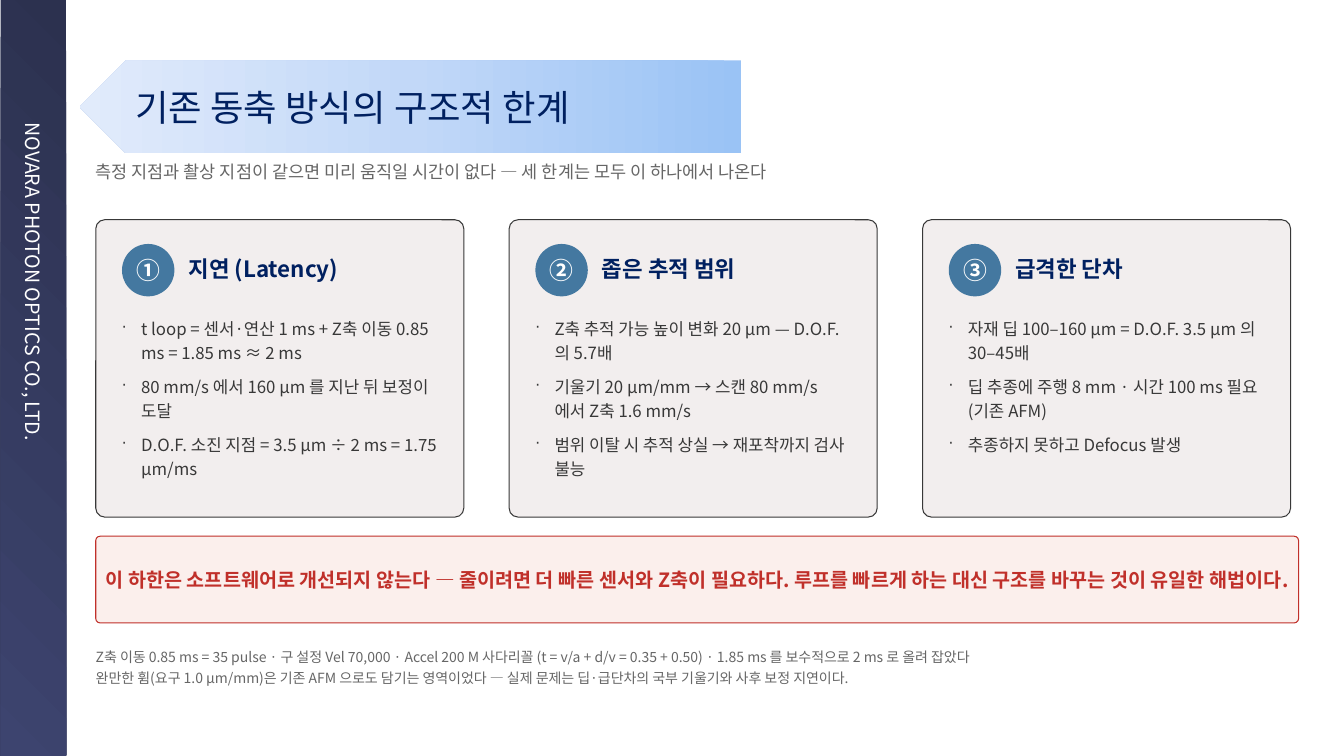
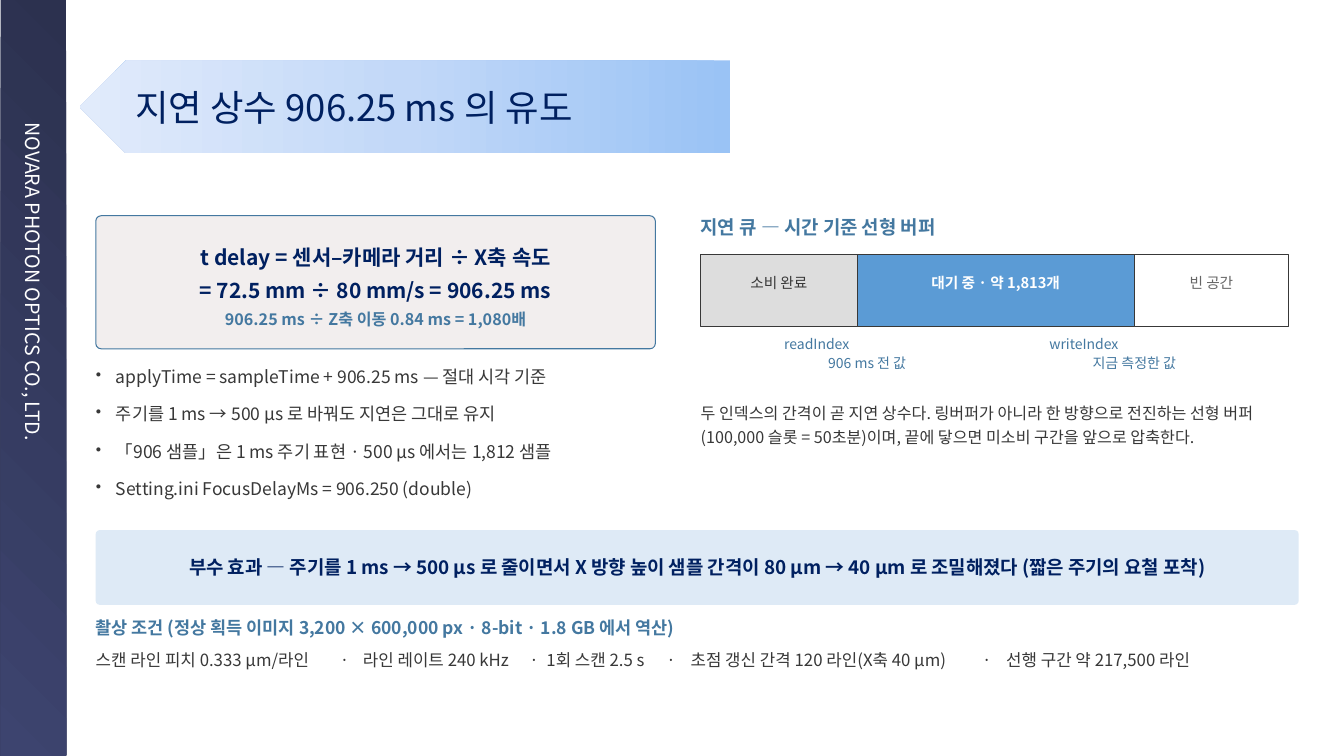
"""Build two slides on the limits of coaxial focusing and the delay constant."""
from dataclasses import dataclass

from lxml import etree
from pptx import Presentation
from pptx.dml.color import RGBColor
from pptx.enum.shapes import MSO_SHAPE as SHAPE
from pptx.enum.text import MSO_ANCHOR as ANCHOR, MSO_AUTO_SIZE as AUTO_SIZE, PP_ALIGN as ALIGN
from pptx.oxml import parse_xml
from pptx.oxml.ns import nsdecls, qn
from pptx.util import Inches, Pt

NAVY = RGBColor(0x00, 0x20, 0x60)
STEEL = RGBColor(0x44, 0x78, 0xA0)
SKY = RGBColor(0x5B, 0x9B, 0xD5)
PALE_BLUE = RGBColor(0xDE, 0xEA, 0xF6)
INK = RGBColor(0x38, 0x38, 0x38)
GRAY = RGBColor(0x66, 0x66, 0x66)
SILVER = RGBColor(0xDD, 0xDD, 0xDD)
PANEL = RGBColor(0xF2, 0xEE, 0xEE)
RED = RGBColor(0xC0, 0x30, 0x2A)
BLUSH = RGBColor(0xFB, 0xEF, 0xEC)
WHITE = RGBColor(0xFF, 0xFF, 0xFF)
BAND_STOPS = [(0, RGBColor(0x2C, 0x31, 0x4F)), (100, RGBColor(0x3D, 0x44, 0x6F))]
ARROW_STOPS = [
    (0, RGBColor(0x9A, 0xC3, 0xF5)),
    (50, RGBColor(0xC2, 0xD8, 0xF8)),
    (100, RGBColor(0xE1, 0xEB, 0xFB)),
]
FONT = "Noto Sans CJK KR"
COMPANY = "NOVARA PHOTON OPTICS CO., LTD."
LEFT = 0.95
FULL_WIDTH = 11.93
TITLE_TOP, TITLE_HEIGHT = 0.6, 0.92
SHAPE_INSETS = (0.06, 0.02, 0.06, 0.02)


@dataclass
class Style:
    """Look of a paragraph."""
    size: float
    color: RGBColor
    bold: bool = False
    align: ALIGN = ALIGN.LEFT
    spacing: float = 1.0
    after: float = 0
    bullet: str = ""
    indent: float = 0
    tabs: tuple = ()


def add_bullet(paragraph, style):
    """Hang the paragraph behind its bullet character."""
    props = paragraph._p.get_or_add_pPr()
    props.set("marL", str(Inches(style.indent)))
    props.set("indent", str(-Inches(style.indent)))
    etree.SubElement(props, qn("a:buSzPct"), val="90000")
    etree.SubElement(props, qn("a:buChar"), char=style.bullet)


def add_tabs(paragraph, stops):
    """Set left tab stops, in inches from the box edge."""
    tab_list = etree.SubElement(paragraph._p.get_or_add_pPr(), qn("a:tabLst"))
    for stop in stops:
        etree.SubElement(tab_list, qn("a:tab"), pos=str(Inches(stop)), algn="l")


def write(frame, lines, style):
    """Append lines to a text frame in one style."""
    for line in lines:
        first = frame.paragraphs[0]
        paragraph = frame.add_paragraph() if first.text else first
        paragraph.text = line
        paragraph.alignment = style.align
        paragraph.line_spacing = style.spacing
        paragraph.space_after = Pt(style.after)
        if style.bullet:
            add_bullet(paragraph, style)
        if style.tabs:
            add_tabs(paragraph, style.tabs)
        font = paragraph.font
        font.name, font.size, font.bold = FONT, Pt(style.size), style.bold
        font.color.rgb = style.color
        defaults = paragraph._p.pPr.find(qn("a:defRPr"))
        etree.SubElement(defaults, qn("a:ea"), typeface=FONT)


def set_frame(frame, anchor=ANCHOR.TOP, insets=(0, 0, 0, 0)):
    """Set wrapping, anchor and insets of a text frame."""
    frame.word_wrap = True
    frame.auto_size = AUTO_SIZE.NONE
    frame.vertical_anchor = anchor
    frame.margin_left, frame.margin_top, frame.margin_right, frame.margin_bottom = map(Inches, insets)


def add_text(slide, box, lines, style):
    """Add a text box and return its frame."""
    frame = slide.shapes.add_textbox(*map(Inches, box)).text_frame
    set_frame(frame)
    write(frame, lines, style)
    return frame


def add_block(slide, kind, box, fill=None, line=None, line_width=0.75, radius=None):
    """Add a flat shape ready for centred text."""
    block = slide.shapes.add_shape(kind, *map(Inches, box))
    block.shadow.inherit = False
    if radius is not None:
        block.adjustments[0] = radius
    if fill is None:
        block.fill.background()
    else:
        block.fill.solid()
        block.fill.fore_color.rgb = fill
    if line is None:
        block.line.fill.background()
    else:
        block.line.color.rgb = line
        block.line.width = Pt(line_width)
    set_frame(block.text_frame, ANCHOR.MIDDLE, SHAPE_INSETS)
    return block


def fill_gradient(block, stops, angle):
    """Replace the empty fill of a shape by a linear gradient."""
    stop_xml = "".join(
        f'<a:gs pos="{place * 1000}"><a:srgbClr val="{color}"/></a:gs>' for place, color in stops
    )
    gradient = parse_xml(
        f'<a:gradFill {nsdecls("a")} rotWithShape="1"><a:gsLst>{stop_xml}</a:gsLst>'
        f'<a:lin ang="{angle * 60000}" scaled="0"/></a:gradFill>'
    )
    props = block.element.spPr
    props.replace(props.find(qn("a:noFill")), gradient)


def add_side_band(slide):
    """Put the company band on the layout that the slide uses."""
    band = add_block(slide, SHAPE.RECTANGLE, (-3.42, 3.42, 7.5, 0.65))
    band.rotation = 90
    fill_gradient(band, BAND_STOPS, 45)
    set_frame(band.text_frame, ANCHOR.MIDDLE, (1.22, 0.05, 0.1, 0.05))
    write(band.text_frame, [COMPANY], Style(14, WHITE))
    slide.slide_layout.shapes.element.append(band.element)


def add_title(slide, text, arrow_width):
    """Format the title and lay the arrow behind it."""
    arrow = add_block(slide, SHAPE.PENTAGON, (0.79, TITLE_TOP, arrow_width, TITLE_HEIGHT))
    arrow.element.spPr.get_or_add_xfrm().set("flipH", "1")
    fill_gradient(arrow, ARROW_STOPS, 0)
    slide.shapes.element.insert(2, arrow.element)
    title = slide.shapes.title
    title.left, title.top, title.width, title.height = map(
        Inches, (1.34, TITLE_TOP, arrow_width - 0.98, TITLE_HEIGHT)
    )
    set_frame(title.text_frame, ANCHOR.MIDDLE)
    write(title.text_frame, [text], Style(26, NAVY))


def add_banner(slide, top, height, text, size, color, fill, line=None):
    """Add a full-width rounded banner with one bold message."""
    box = (LEFT, top, FULL_WIDTH, height)
    banner = add_block(slide, SHAPE.ROUNDED_RECTANGLE, box, fill, line, radius=0.05)
    write(banner.text_frame, [text], Style(size, color, True, ALIGN.CENTER))


def add_card(slide, left, number, heading, points):
    """Add a numbered card with bullet points."""
    add_block(slide, SHAPE.ROUNDED_RECTANGLE, (left, 2.18, 3.65, 2.95), PANEL, INK, radius=0.03)
    badge = add_block(slide, SHAPE.OVAL, (left + 0.26, 2.42, 0.52, 0.52), STEEL)
    write(badge.text_frame, [number], Style(17, WHITE, True, ALIGN.CENTER))
    add_text(slide, (left + 0.92, 2.53, 2.5, 0.36), [heading], Style(16, NAVY, True))
    point_style = Style(12, INK, spacing=1.2, after=7, bullet="·", indent=0.19)
    add_text(slide, (left + 0.26, 3.12, 3.13, 1.75), points, point_style)


def add_queue(slide, left, top):
    """Draw the delay queue with its segments and index labels."""
    segments = [
        (1.55, "소비 완료", SILVER, INK, False),
        (2.75, "대기 중 · 약 1,813개", SKY, WHITE, True),
        (1.53, "빈 공간", WHITE, GRAY, False),
    ]
    for width, label, fill, color, bold in segments:
        segment = add_block(slide, SHAPE.RECTANGLE, (left, top, width, 0.72), fill, INK, 0.5)
        set_frame(segment.text_frame, insets=(0, 0.2, 0, 0))
        write(segment.text_frame, [label], Style(10.5, color, bold, ALIGN.CENTER))
        left += width
    index_style = Style(10, STEEL, align=ALIGN.CENTER, spacing=1.15)
    for center, index, meaning in [(8.6, "readIndex", "906 ms 전 값"), (11.25, "writeIndex", "지금 측정한 값")]:
        add_text(slide, (center - 1.3, 3.3, 1.6, 0.2), [index], index_style)
        add_text(slide, (center - 0.8, 3.49, 1.6, 0.2), [meaning], index_style)


def build_limits(slide):
    """Fill the slide on the limits of the coaxial method."""
    add_title(slide, "기존 동축 방식의 구조적 한계", 6.56)
    subtitle = "측정 지점과 촬상 지점이 같으면 미리 움직일 시간이 없다 — 세 한계는 모두 이 하나에서 나온다"
    add_text(slide, (LEFT, 1.6, FULL_WIDTH, 0.34), [subtitle], Style(12.5, GRAY))
    cards = [
        ("①", "지연 (Latency)", [
            "t loop = 센서·연산 1 ms + Z축 이동 0.85 ms = 1.85 ms ≈ 2 ms",
            "80 mm/s 에서 160 µm 를 지난 뒤 보정이 도달",
            "D.O.F. 소진 지점 = 3.5 µm ÷ 2 ms = 1.75 µm/ms",
        ]),
        ("②", "좁은 추적 범위", [
            "Z축 추적 가능 높이 변화 20 µm — D.O.F. 의 5.7배",
            "기울기 20 µm/mm → 스캔 80 mm/s 에서 Z축 1.6 mm/s",
            "범위 이탈 시 추적 상실 → 재포착까지 검사 불능",
        ]),
        ("③", "급격한 단차", [
            "자재 딥 100–160 µm = D.O.F. 3.5 µm 의 30–45배",
            "딥 추종에 주행 8 mm · 시간 100 ms 필요 (기존 AFM)",
            "추종하지 못하고 Defocus 발생",
        ]),
    ]
    for column, card in enumerate(cards):
        add_card(slide, LEFT + 4.1 * column, *card)
    conclusion = (
        "이 하한은 소프트웨어로 개선되지 않는다 — 줄이려면 더 빠른 센서와 Z축이 필요하다. "
        "루프를 빠르게 하는 대신 구조를 바꾸는 것이 유일한 해법이다."
    )
    add_banner(slide, 5.32, 0.86, conclusion, 14, RED, BLUSH, RED)
    footnotes = [
        "Z축 이동 0.85 ms = 35 pulse · 구 설정 Vel 70,000 · Accel 200 M 사다리꼴 "
        "(t = v/a + d/v = 0.35 + 0.50) · 1.85 ms 를 보수적으로 2 ms 로 올려 잡았다",
        "완만한 휨(요구 1.0 µm/mm)은 기존 AFM 으로도 담기는 영역이었다 — "
        "실제 문제는 딥·급단차의 국부 기울기와 사후 보정 지연이다.",
    ]
    add_text(slide, (LEFT, 6.4, 11.83, 0.44), footnotes, Style(10, GRAY, spacing=1.18, after=1))


def build_delay(slide):
    """Fill the slide on the derivation of the delay constant."""
    add_title(slide, "지연 상수 906.25 ms 의 유도", 6.45)
    box = (LEFT, 2.14, 5.55, 1.32)
    formula = add_block(slide, SHAPE.ROUNDED_RECTANGLE, box, PANEL, STEEL, radius=0.04).text_frame
    equations = ["t delay = 센서–카메라 거리 ÷ X축 속도", "= 72.5 mm ÷ 80 mm/s = 906.25 ms"]
    write(formula, equations, Style(15, NAVY, True, ALIGN.CENTER, 1.32))
    ratio = "906.25 ms ÷ Z축 이동 0.84 ms = 1,080배"
    write(formula, [ratio], Style(11.5, STEEL, True, ALIGN.CENTER, 1.32))
    points = [
        "applyTime = sampleTime + 906.25 ms — 절대 시각 기준",
        "주기를 1 ms → 500 µs 로 바꿔도 지연은 그대로 유지",
        "「906 샘플」은 1 ms 주기 표현 · 500 µs 에서는 1,812 샘플",
        "Setting.ini FocusDelayMs = 906.250 (double)",
    ]
    point_style = Style(12.5, INK, spacing=1.25, after=8, bullet="•", indent=0.2)
    add_text(slide, (LEFT, 3.58, 5.55, 1.6), points, point_style)

    queue_left, queue_width = 6.95, 5.83
    heading = "지연 큐 — 시간 기준 선형 버퍼"
    add_text(slide, (queue_left, 2.14, queue_width, 0.28), [heading], Style(13.5, STEEL, True))
    add_queue(slide, queue_left, 2.52)
    explanation = (
        "두 인덱스의 간격이 곧 지연 상수다. 링버퍼가 아니라 한 방향으로 전진하는 선형 버퍼"
        "(100,000 슬롯 = 50초분)이며, 끝에 닿으면 미소비 구간을 앞으로 압축한다."
    )
    add_text(slide, (queue_left, 3.95, queue_width, 0.55), [explanation], Style(11.5, INK, spacing=1.25))

    side_effect = (
        "부수 효과 — 주기를 1 ms → 500 µs 로 줄이면서 X 방향 높이 샘플 간격이 "
        "80 µm → 40 µm 로 조밀해졌다 (짧은 주기의 요철 포착)"
    )
    add_banner(slide, 5.26, 0.74, side_effect, 13.5, NAVY, PALE_BLUE)
    heading = "촬상 조건 (정상 획득 이미지 3,200 × 600,000 px · 8-bit · 1.8 GB 에서 역산)"
    heading_style = Style(12.5, STEEL, True, after=5)
    conditions = add_text(slide, (LEFT, 6.12, FULL_WIDTH, 0.86), [heading], heading_style)
    values = [
        "스캔 라인 피치 0.333 µm/라인",
        "라인 레이트 240 kHz",
        "1회 스캔 2.5 s",
        "초점 갱신 간격 120 라인(X축 40 µm)",
        "선행 구간 약 217,500 라인",
    ]
    stops = (2.42, 2.65, 4.3, 4.47, 5.66, 5.9, 8.79, 9.03)
    write(conditions, ["\t·\t".join(values)], Style(12, INK, spacing=1.25, tabs=stops))


def main():
    """Build and save the presentation."""
    deck = Presentation()
    deck.slide_width, deck.slide_height = Inches(13.33), Inches(7.5)
    title_only = deck.slide_layouts[5]
    limits, delay = (deck.slides.add_slide(title_only) for _ in range(2))
    add_side_band(limits)
    build_limits(limits)
    build_delay(delay)
    deck.save("out.pptx")


if __name__ == "__main__":
    main()
